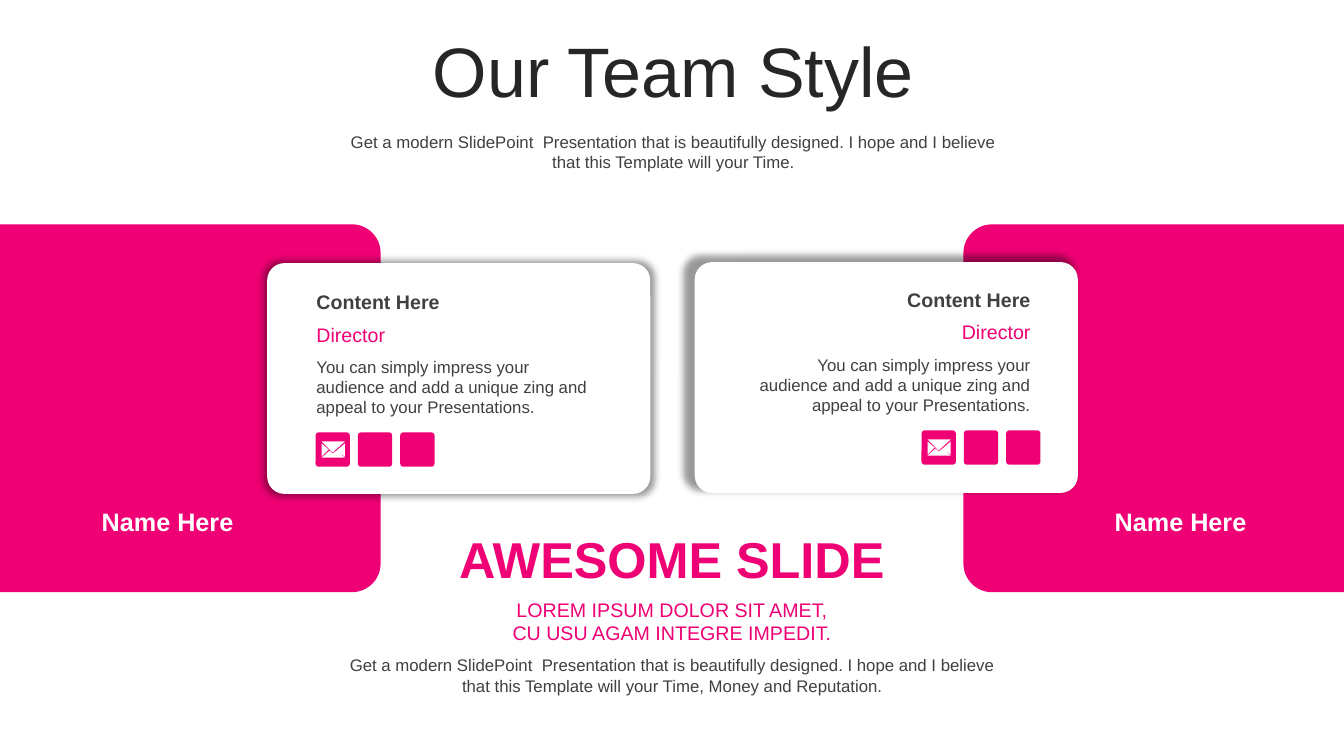
from dataclasses import dataclass

from lxml import etree
from pptx import Presentation
from pptx.dml.color import RGBColor
from pptx.enum import shapes, text
from pptx.oxml.ns import qn
from pptx.shapes.autoshape import Shape
from pptx.slide import Slide
from pptx.util import Inches, Pt

COLORS = {
    "pink": "EF0074",
    "white": "FFFFFF",
    "title": "262626",
    "body": "404040",
    "shadow": "000000",
}
FONT = "Arial"
LEFT, CENTER, RIGHT = text.PP_ALIGN.LEFT, text.PP_ALIGN.CENTER, text.PP_ALIGN.RIGHT
TOP, MIDDLE = text.MSO_ANCHOR.TOP, text.MSO_ANCHOR.MIDDLE

INTRO = "Get a modern SlidePoint  Presentation that is beautifully designed. I hope and I believe that this Template will your Time"
PITCH = "You can simply impress your audience and add a unique zing and appeal to your Presentations."

ICON_SIZE, ICON_PITCH, ICON_COUNT = 0.34, 0.42, 3
# Flaps of the envelope, in hundredths of an inch from the icon's corner
ENVELOPE_FLAPS = (
    ((21, 18), (17, 21), (14, 18), (6, 25), (29, 25)),
    ((29, 11), (22, 17), (21, 18), (29, 24)),
    ((6, 11), (6, 24), (13, 17)),
    ((6, 9), (17, 20), (29, 9)),
)


@dataclass(frozen=True)
class Member:
    panel_left: float
    panel_rotation: float
    card_left: float
    card_top: float
    card_rotation: float
    text_left: float
    text_top: float
    icons_left: float
    name_left: float
    align: text.PP_ALIGN


MEMBERS = (
    Member(0.06, 90, 2.65, 2.61, 0, 3.04, 2.86, 3.13, 0.91, LEFT),
    Member(9.62, 270, 6.89, 2.6, 180, 7.35, 2.84, 9.14, 10.05, RIGHT),
)


def add_filled(slide: Slide, kind: shapes.MSO_SHAPE, left: float, top: float,
               width: float, height: float, color: str, radius: float,
               rotation: float = 0) -> Shape:
    shape = slide.shapes.add_shape(
        kind, Inches(left), Inches(top), Inches(width), Inches(height))
    shape.adjustments[0] = radius
    shape.rotation = rotation
    paint(shape, color)
    return shape


def paint(shape: Shape, color: str) -> None:
    """Give a flat fill without outline or shadow."""
    shape.shadow.inherit = False
    shape.fill.solid()
    shape.fill.fore_color.rgb = RGBColor.from_string(COLORS[color])
    shape.line.fill.background()


def add_text(slide: Slide, content: str, left: float, top: float, width: float,
             height: float, *, size: float, color: str = "body", bold: bool = False,
             align: text.PP_ALIGN = CENTER, anchor: text.MSO_ANCHOR = TOP,
             line_spacing: float = 1.0, space_before: float = 0) -> None:
    box = slide.shapes.add_textbox(
        Inches(left), Inches(top), Inches(width), Inches(height))
    frame = box.text_frame
    frame.word_wrap = True
    frame.vertical_anchor = anchor
    frame.text = content
    for paragraph in frame.paragraphs:
        paragraph.alignment = align
        paragraph.line_spacing = line_spacing
        paragraph.space_before = Pt(space_before)
        font = paragraph.runs[0].font
        font.name, font.size, font.bold = FONT, Pt(size), bold
        font.color.rgb = RGBColor.from_string(COLORS[color])


def add_soft_shadow(shape: Shape) -> None:
    """Put a blurred, slightly enlarged shadow around the shape."""
    effects = shape._element.spPr.find(qn("a:effectLst"))
    shadow = etree.SubElement(
        effects, qn("a:outerShdw"), blurRad=str(Pt(5)), sx="102000", sy="102000",
        algn="ctr", rotWithShape="0")
    color = etree.SubElement(shadow, qn("a:srgbClr"), val=COLORS["shadow"])
    etree.SubElement(color, qn("a:alpha"), val="40000")


def add_envelope(slide: Slide, left: float, top: float) -> None:
    first, *others = ENVELOPE_FLAPS
    builder = slide.shapes.build_freeform(*first[0], scale=Inches(0.01))
    builder.add_line_segments(first[1:])
    for flap in others:
        builder.move_to(*flap[0])
        builder.add_line_segments(flap[1:])
    paint(builder.convert_to_shape(Inches(left), Inches(top)), "white")


def add_icons(slide: Slide, left: float, top: float) -> None:
    for index in range(ICON_COUNT):
        add_filled(slide, shapes.MSO_SHAPE.ROUNDED_RECTANGLE,
                   left + index * ICON_PITCH, top, ICON_SIZE, ICON_SIZE, "pink", 0.09)
    add_envelope(slide, left, top)


def add_member(slide: Slide, member: Member) -> None:
    add_filled(slide, shapes.MSO_SHAPE.ROUND_2_SAME_RECTANGLE, member.panel_left, 2.16,
               3.65, 3.78, "pink", 0.078, member.panel_rotation)
    card = add_filled(slide, shapes.MSO_SHAPE.ROUNDED_RECTANGLE, member.card_left,
                      member.card_top, 3.8, 2.29, "white", 0.075, member.card_rotation)
    add_soft_shadow(card)
    left, top, align = member.text_left, member.text_top, member.align
    add_text(slide, "Content Here", left, top, 2.97, 0.27,
             size=14, bold=True, align=align, anchor=MIDDLE)
    add_text(slide, "Director", left, top + 0.28, 2.97, 0.35,
             size=14, color="pink", align=align, anchor=MIDDLE)
    add_text(slide, PITCH, left, top + 0.63, 2.97, 0.71, size=12, align=align)
    add_icons(slide, member.icons_left, top + 1.43)
    add_text(slide, "Name Here", member.name_left, 5.04, 2.41, 0.27,
             size=18, color="white", bold=True, align=align, anchor=MIDDLE)


def main() -> None:
    presentation = Presentation()
    presentation.slide_width = Inches(13.33)
    presentation.slide_height = Inches(7.5)
    slide = presentation.slides.add_slide(presentation.slide_layouts[6])

    add_text(slide, "Our Team Style", 0.35, 0.37, 12.66, 0.79, size=50, color="title",
             anchor=MIDDLE, line_spacing=0.8, space_before=10)
    add_text(slide, f"{INTRO}.", 3.31, 1.26, 6.74, 0.5, size=12)
    for member in MEMBERS:
        add_member(slide, member)
    add_text(slide, "AWESOME SLIDE", 3.46, 5.18, 6.41, 0.71,
             size=36, color="pink", bold=True, anchor=MIDDLE)
    add_text(slide, "LOREM IPSUM DOLOR SIT AMET,\nCU USU AGAM INTEGRE IMPEDIT.",
             4.16, 5.88, 5.01, 0.57, size=14, color="pink", anchor=MIDDLE)
    add_text(slide, f"{INTRO}, Money and Reputation.", 3.27, 6.45, 6.8, 0.5, size=12)

    presentation.save("out.pptx")


if __name__ == "__main__":
    main()
